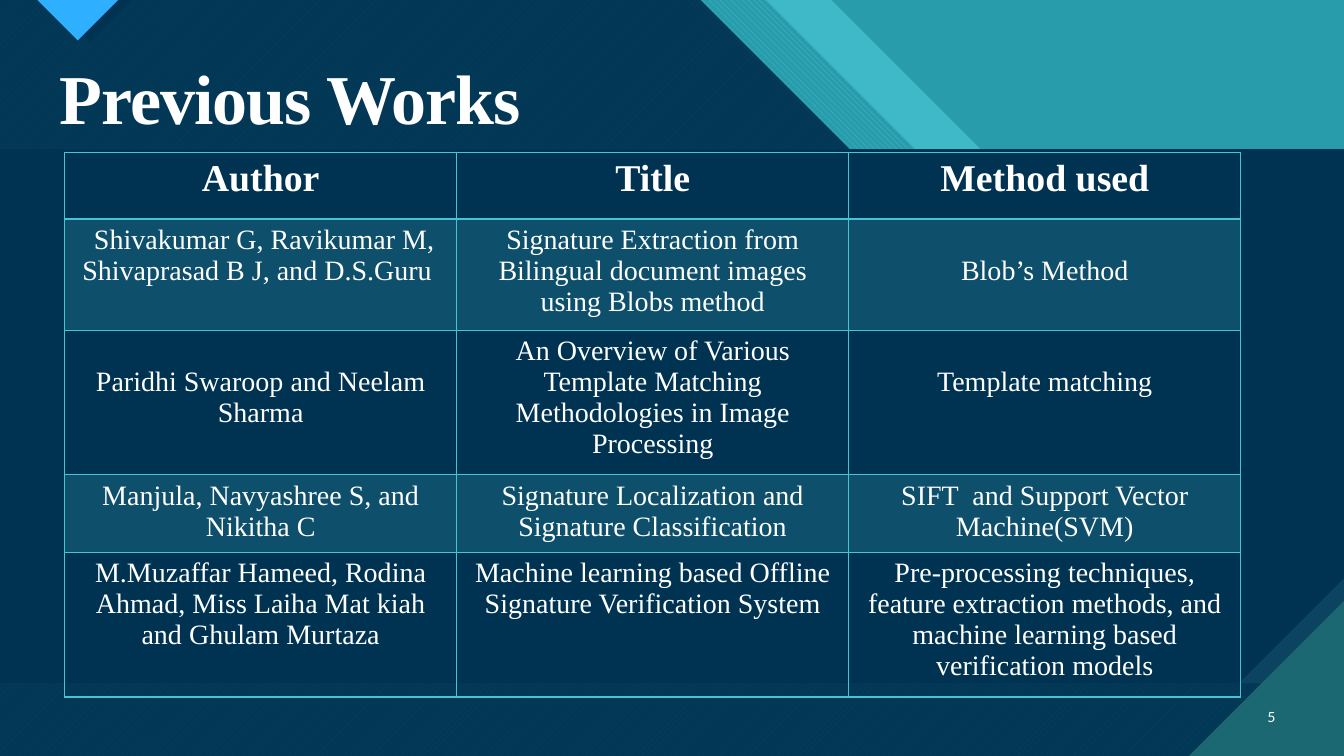
from lxml import etree
from pptx import Presentation
from pptx.dml.color import RGBColor
from pptx.enum.dml import MSO_PATTERN
from pptx.enum.text import MSO_ANCHOR, PP_ALIGN
from pptx.oxml.ns import qn
from pptx.util import Cm, Pt

WHITE = RGBColor(0xFF, 0xFF, 0xFF)
NAVY = RGBColor(0x00, 0x33, 0x52)
STEEL = RGBColor(0x0C, 0x43, 0x60)
TEAL = RGBColor(0x29, 0x9C, 0xAB)
AQUA = RGBColor(0x47, 0xC3, 0xD3)
PINE = RGBColor(0x1B, 0x68, 0x72)
BLUE = RGBColor(0x2F, 0xAF, 0xFF)

LEFT, CENTER, RIGHT = PP_ALIGN.LEFT, PP_ALIGN.CENTER, PP_ALIGN.RIGHT
TOP, MIDDLE = MSO_ANCHOR.TOP, MSO_ANCHOR.MIDDLE
DOWN_STRIPES = MSO_PATTERN.WIDE_DOWNWARD_DIAGONAL
UP_STRIPES = MSO_PATTERN.WIDE_UPWARD_DIAGONAL

WIDTH, HEIGHT = 33.87, 19.05
PANEL_TOP, PANEL_BOTTOM, SNIP = 3.76, 17.22, 2.65
CORNER = 3.91
COLUMN_WIDTH = 9.88
ROW_HEIGHTS = [1.68, 2.74, 3.56, 1.93, 3.56]
CELL_MARGIN, LINE_DROP = 0.13, 0.78

WORKS = [
    ["Author", "Title", "Method used"],
    [" Shivakumar G, Ravikumar M, Shivaprasad B J, and D.S.Guru ",
     "Signature Extraction from Bilingual document images using Blobs method",
     "Blob’s Method"],
    ["Paridhi Swaroop and Neelam Sharma",
     "An Overview of Various Template Matching Methodologies in Image Processing",
     "Template matching"],
    ["Manjula, Navyashree S, and Nikitha C",
     "Signature Localization and Signature Classification",
     "SIFT  and Support Vector Machine(SVM)"],
    ["M.Muzaffar Hameed, Rodina Ahmad, Miss Laiha Mat kiah and Ghulam Murtaza",
     "Machine learning based Offline Signature Verification System",
     "Pre-processing techniques, feature extraction methods, and machine learning "
     "based verification models"],
]
LOWERED_CELLS = {(1, 2), (2, 0), (2, 2)}


def write(frame, text, size=20, font="Times New Roman", bold=False, align=LEFT,
          line_spacing=None, tracking=None):
    paragraph = frame.paragraphs[0]
    paragraph.alignment = align
    if line_spacing:
        paragraph.line_spacing = line_spacing
    span = paragraph.add_run()
    span.text = text
    span.font.size = Pt(size)
    span.font.name = font
    span.font.bold = bold
    span.font.color.rgb = WHITE
    if tracking:
        span.font._element.set("spc", str(round(tracking * 100)))


def paint(fill, color, holder, opacity=100):
    fill.solid()
    fill.fore_color.rgb = color
    if opacity < 100:
        tint = holder.find(qn("a:solidFill")).find(qn("a:srgbClr"))
        etree.SubElement(tint, qn("a:alpha")).set("val", str(opacity * 1000))


def border(cell, side, width):
    line = etree.Element(qn(f"a:ln{side}"), w=str(Pt(width)))
    solid = etree.SubElement(line, qn("a:solidFill"))
    etree.SubElement(solid, qn("a:srgbClr")).set("val", str(AQUA))
    return line


class WorksPage:
    """Holds the page and draws its shapes, texts and table in one style."""

    def __init__(self, deck):
        self.page = deck.slides.add_slide(deck.slide_layouts[6])
        paint(self.page.background.fill, TEAL, None)

    def outline(self, points, color, opacity=100, pattern=None, back=None):
        builder = self.page.shapes.build_freeform(
            Cm(points[0][0]), Cm(points[0][1]))
        builder.add_line_segments([(Cm(x), Cm(y)) for x, y in points[1:]])
        shape = builder.convert_to_shape()
        shape.shadow.inherit = False
        shape.line.fill.background()
        if pattern:
            shape.fill.patterned()
            shape.fill.pattern = pattern
            shape.fill.fore_color.rgb = color
            shape.fill.back_color.rgb = back
        else:
            paint(shape.fill, color, shape._element.spPr, opacity)

    def diagonal(self, edge, color, **style):
        self.outline([(0, 0), (edge, 0), (WIDTH, WIDTH - edge),
                      (WIDTH, HEIGHT), (0, HEIGHT)], color, **style)

    def panel(self, snip, color):
        self.outline([(0, PANEL_TOP), (WIDTH, PANEL_TOP),
                      (WIDTH, PANEL_BOTTOM - snip),
                      (WIDTH - snip, PANEL_BOTTOM), (0, PANEL_BOTTOM)], color)

    def pointer(self, left, depth, color):
        self.outline([(left, 0), (left + depth, depth), (left + 2 * depth, 0)],
                     color)

    def label(self, text, left, top, width, height, anchor=TOP, **style):
        box = self.page.shapes.add_textbox(Cm(left), Cm(top), Cm(width), Cm(height))
        box.text_frame.word_wrap = True
        box.text_frame.vertical_anchor = anchor
        write(box.text_frame, text, **style)

    def table(self, left, top, rows):
        table = self.page.shapes.add_table(
            len(rows), len(rows[0]), Cm(left), Cm(top),
            Cm(COLUMN_WIDTH * len(rows[0])), Cm(sum(ROW_HEIGHTS))).table
        table.first_row = table.horz_banding = False
        for column in table.columns:
            column.width = Cm(COLUMN_WIDTH)
        for row, height in zip(table.rows, ROW_HEIGHTS):
            row.height = Cm(height)
        for r, texts in enumerate(rows):
            for c, text in enumerate(texts):
                self.cell(table.cell(r, c), text, r, (r, c) in LOWERED_CELLS)

    def cell(self, cell, text, row, lowered):
        cell.margin_top = Cm(CELL_MARGIN + LINE_DROP * lowered)
        write(cell.text_frame, text, size=20 if row else 27, bold=row == 0,
              align=CENTER)
        properties = cell._tc.get_or_add_tcPr()
        if row % 2:
            paint(cell.fill, AQUA, properties, 20)
        else:
            cell.fill.background()
        widths = {"L": 1, "R": 1, "T": 2 if row == 1 else 1, "B": 1 if row else 2}
        for place, (side, width) in enumerate(widths.items()):
            properties.insert(place, border(cell, side, width))


def main():
    deck = Presentation()
    deck.slide_width, deck.slide_height = Cm(WIDTH), Cm(HEIGHT)
    works = WorksPage(deck)
    works.diagonal(20.95, AQUA, opacity=74)
    works.diagonal(19.3, AQUA, pattern=DOWN_STRIPES, back=TEAL)
    works.diagonal(17.65, AQUA, pattern=UP_STRIPES, back=PINE)
    works.diagonal(17.65, NAVY, opacity=90)
    works.pointer(1.22, 1.05, NAVY)
    works.pointer(0.94, 1.02, BLUE)
    works.panel(0, STEEL)
    works.panel(SNIP, NAVY)
    works.outline([(WIDTH - CORNER, HEIGHT), (WIDTH, HEIGHT),
                   (WIDTH, HEIGHT - CORNER)], PINE)
    works.label("Previous Works", 1.25, 1.5, 31.14, 2.18, size=50, bold=True,
                line_spacing=0.9, tracking=-0.7)
    works.label("5", 31.27, 17.55, 1.12, 1.02, anchor=MIDDLE, size=10,
                font="Lato", align=RIGHT)
    works.table(1.63, 3.84, WORKS)
    deck.save("out.pptx")


if __name__ == "__main__":
    main()
